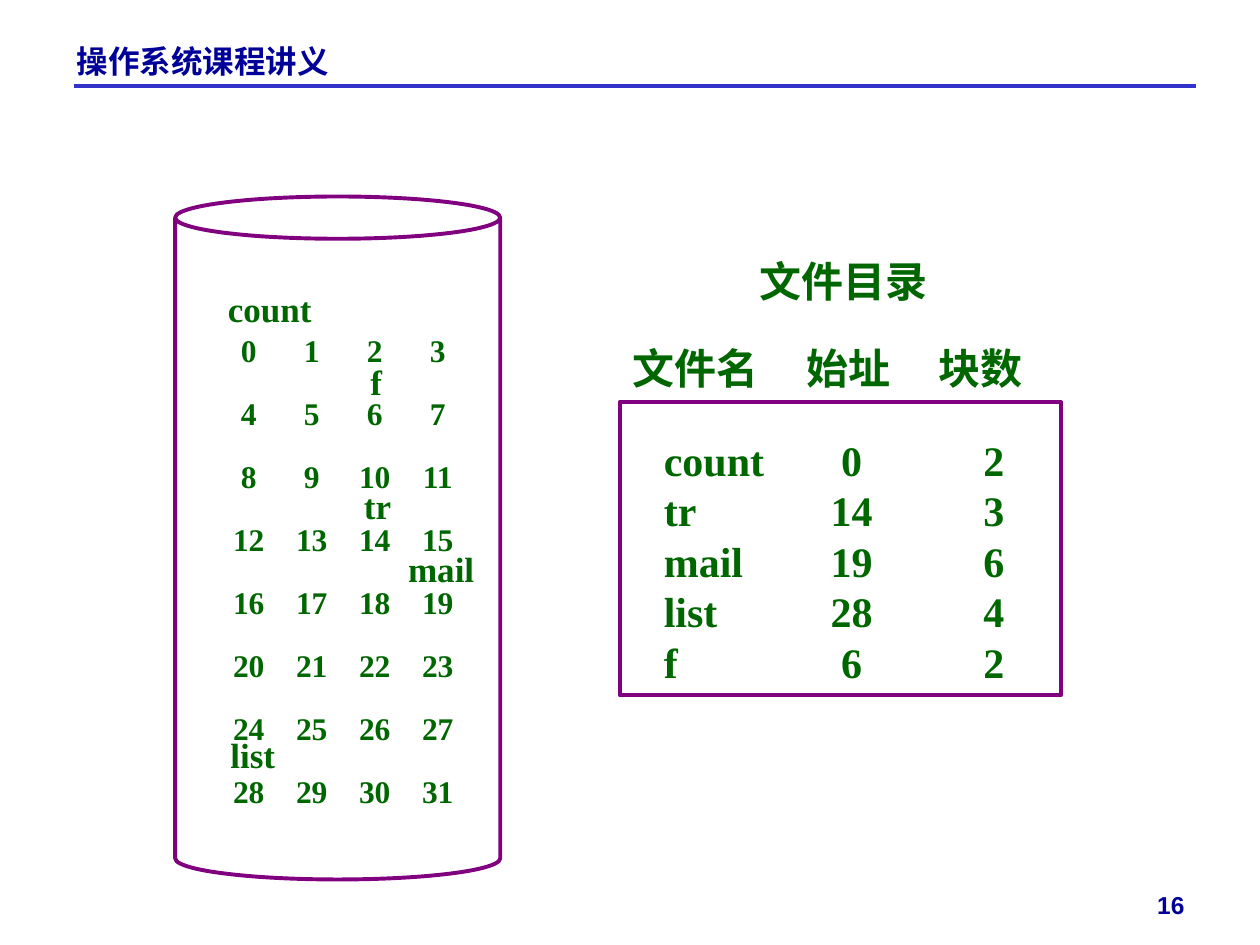
from lxml.etree import SubElement
from pptx import Presentation
from pptx.dml.color import RGBColor
from pptx.enum.shapes import MSO_CONNECTOR as Connector, MSO_SHAPE as Shape
from pptx.enum.text import MSO_ANCHOR as Anchor, MSO_AUTO_SIZE as AutoSize, PP_ALIGN as Align
from pptx.oxml.ns import qn
from pptx.util import Inches, Pt

color = RGBColor.from_string
CELL = Inches(0.5)
NAVY, GREEN, PURPLE, WHITE, BLUE = "000099", "006600", "800080", "FFFFFF", "3333CC"
HEADER = {"name": "Arial", "size": Pt(18), "bold": True}
PAGE_NUMBER = {"name": "Arial", "size": Pt(14), "bold": True}
BLOCK = {"name": "Times New Roman", "size": Pt(18), "bold": True}
LABEL = {"name": "Times New Roman", "size": Pt(20), "bold": True}
DIRECTORY = {"name": "Times New Roman", "size": Pt(24), "bold": True}


def area(*cells):
    return [round(cell * CELL) for cell in cells]


def write(box, lines, style, ink=GREEN, align=Align.LEFT, anchor=Anchor.TOP, wrap=True, tabs=(), tab_kind="l"):
    frame = box.text_frame
    frame.auto_size = AutoSize.NONE
    frame.word_wrap = wrap
    frame.vertical_anchor = anchor
    frame.text = "\n".join(lines)
    for para in frame.paragraphs:
        para.alignment = align
        if tabs:
            stops = SubElement(para._p.get_or_add_pPr(), qn("a:tabLst"))
            for stop in tabs:
                SubElement(stops, qn("a:tab"), pos=str(round(stop * CELL)), algn=tab_kind)
        for span in para.runs:
            for field, value in style.items():
                setattr(span.font, field, value)
            span.font.color.rgb = color(ink)


deck = Presentation()
deck.slide_width, deck.slide_height = area(20, 15)
page = deck.slides.add_slide(deck.slide_layouts[5])
shapes = page.shapes

title = shapes.title
title.left, title.top, title.width, title.height = area(1.02, 0.56, 4.88, 0.48)
write(title, ["操作系统课程讲义"], HEADER, NAVY)

rule = shapes.add_connector(Connector.STRAIGHT, *area(1.18, 1.36, 18.98, 1.36))
rule.line.color.rgb = color(BLUE)
rule.line.width = Pt(2.25)
SubElement(rule._element.spPr, qn("a:effectLst"))

outlines = [(Shape.RECTANGLE, (3.62 + number % 4, 5.3 + number // 4, 0.66, 0.5), WHITE, 0.75) for number in range(32)]
outlines += [
    (Shape.CAN, (2.78, 3.12, 5.16, 10.84), PURPLE, 2.25),
    (Shape.RECTANGLE, (9.84, 5.34, 7, 1), WHITE, 2.25),
    (Shape.RECTANGLE, (9.84, 6.38, 7, 4.66), PURPLE, 2.25),
]
drawn = []
for kind, cells, edge, weight in outlines:
    shape = shapes.add_shape(kind, *area(*cells))
    shape.shadow.inherit = False
    shape.fill.background()
    shape.line.color.rgb = color(edge)
    shape.line.width = Pt(weight)
    drawn.append(shape)

*blocks, disk, heading, frame_box = drawn
disk.adjustments[0] = 0.13
for number, block in enumerate(blocks):
    write(block, [str(number)], BLOCK, align=Align.CENTER, anchor=Anchor.MIDDLE, wrap=False)
write(heading, ["文件名\t始址\t块数"], DIRECTORY, tabs=(2.76, 4.86))

files = [("count", 0, 2), ("tr", 14, 3), ("mail", 19, 6), ("list", 28, 4), ("f", 6, 2)]
entries = shapes.add_textbox(*area(10.34, 6.8, 5.96, 4.2))
write(entries, [f"{name}\t{start}\t{length}" for name, start, length in files],
      DIRECTORY, tabs=(2.98, 5.24), tab_kind="ctr")

caption = shapes.add_textbox(*area(11.86, 3.96, 3.06, 1))
write(caption, ["文件目录"], DIRECTORY, wrap=False)

labels = {
    "count": (3.42, 4.46, 1.88),
    "f": (5.68, 5.62, 0.5),
    "tr": (5.58, 7.6, 0.84),
    "mail": (6.28, 8.6, 1.5),
    "list": (3.46, 11.54, 1.5),
}
for name, cells in labels.items():
    write(shapes.add_textbox(*area(*cells, 0.88)), [name], LABEL)

page_number = shapes.add_textbox(*area(17.88, 13.66, 1.12, 1.04))
write(page_number, ["16"], PAGE_NUMBER, NAVY, Align.RIGHT, Anchor.BOTTOM)

deck.save("out.pptx")
